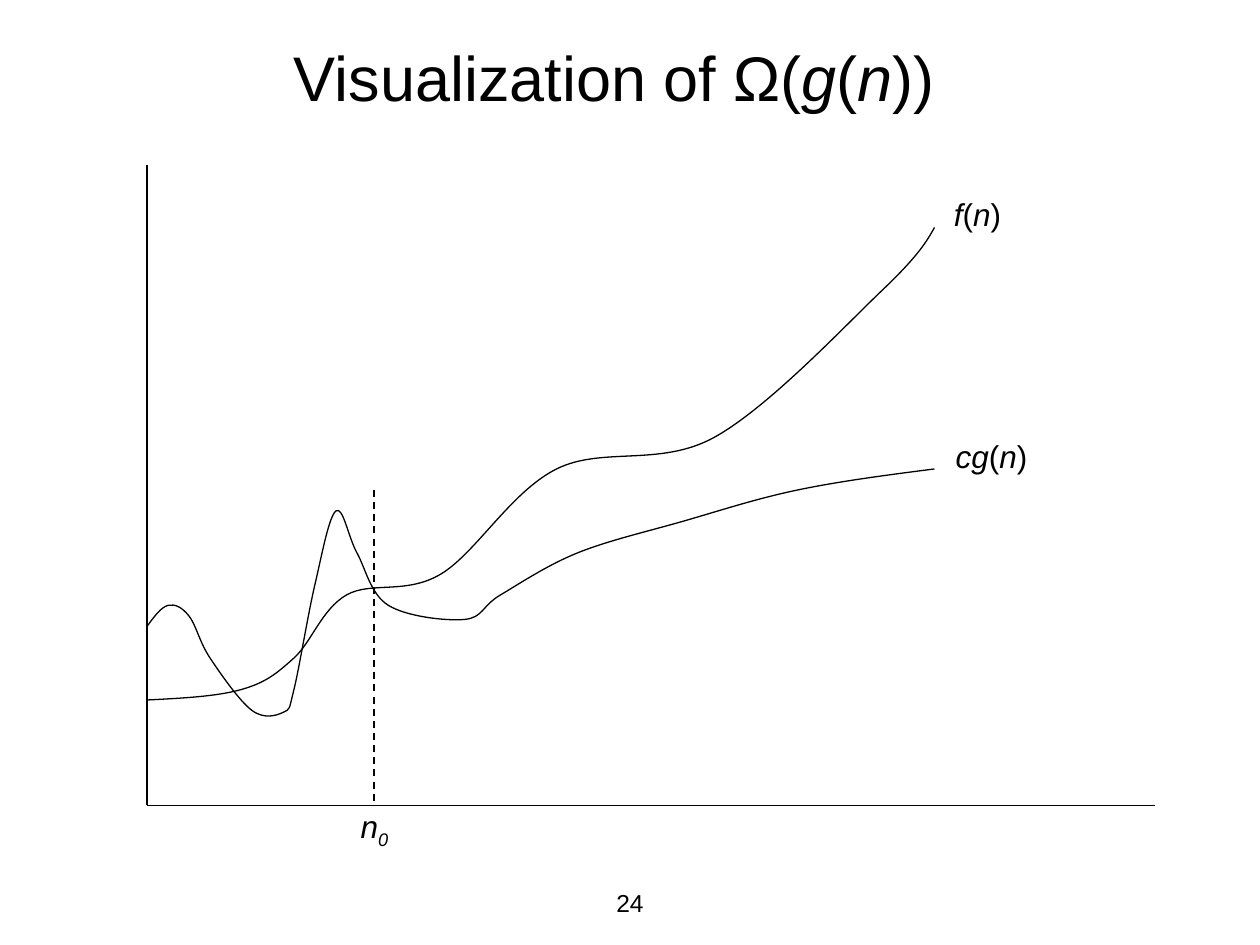
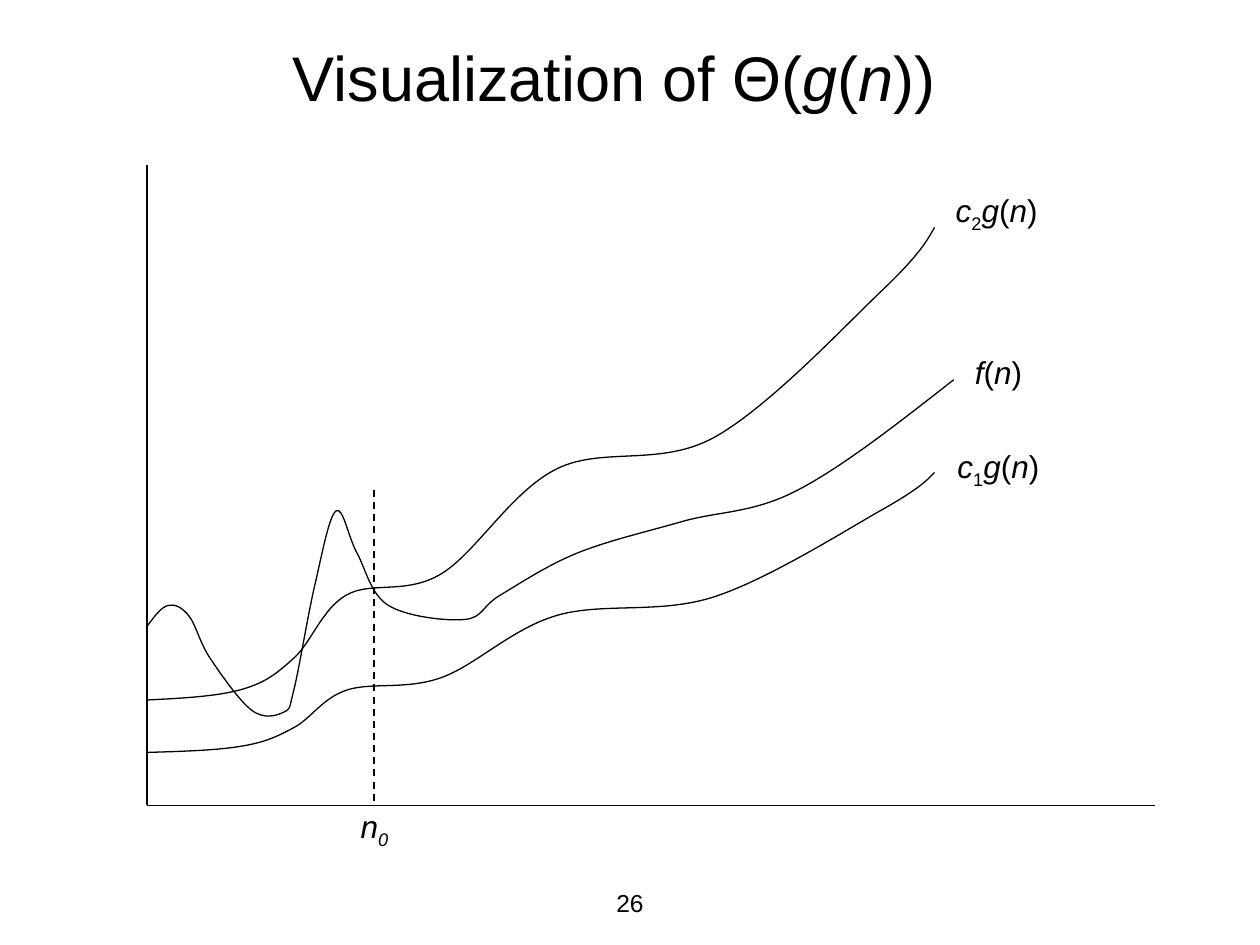
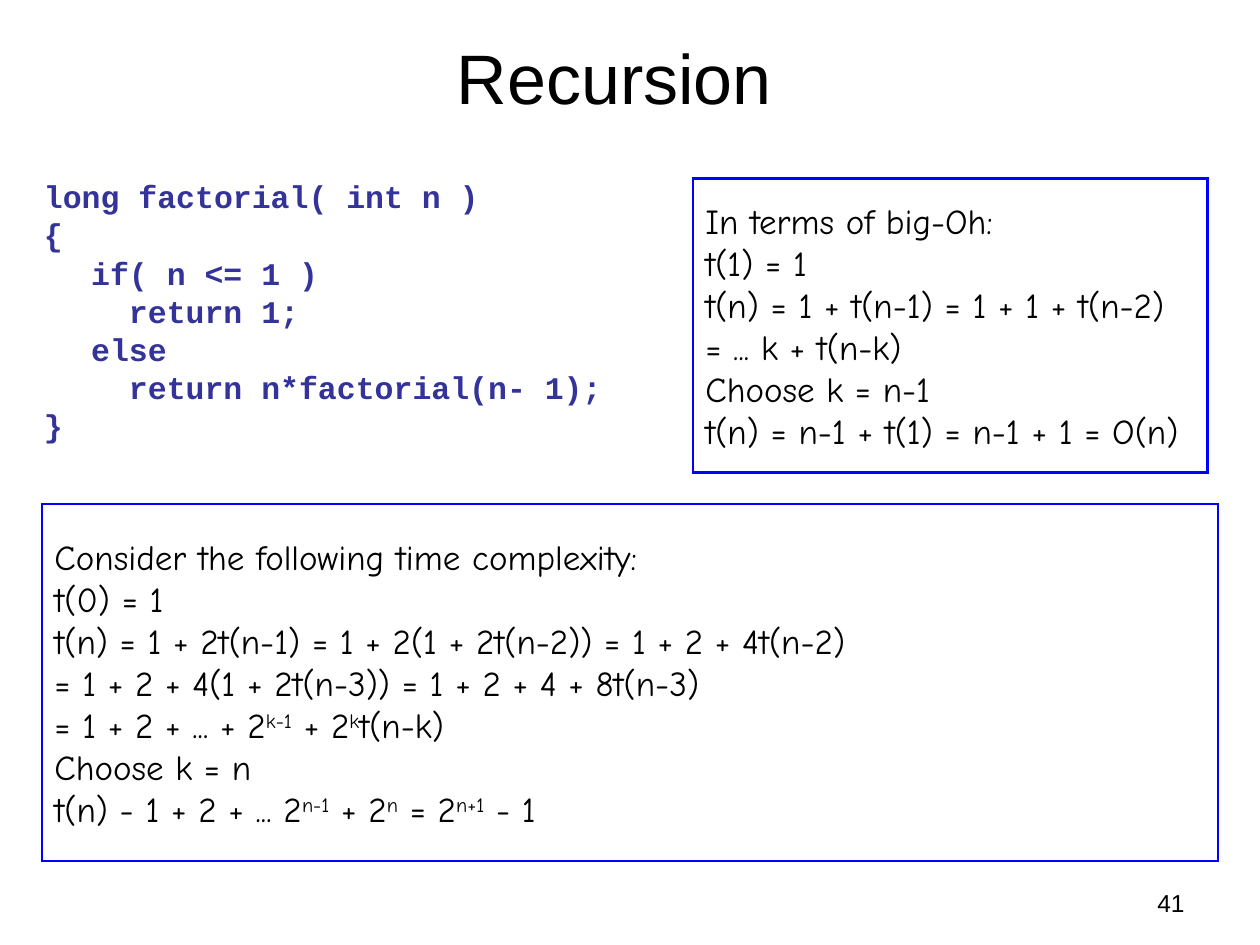
from lxml.etree import Element, SubElement
from pptx import Presentation
from pptx.dml.color import RGBColor
from pptx.enum.dml import MSO_LINE
from pptx.enum.shapes import MSO_CONNECTOR, MSO_SHAPE
from pptx.enum.text import MSO_ANCHOR, MSO_AUTO_SIZE, PP_ALIGN
from pptx.oxml.ns import qn
from pptx.util import Pt

COLORS = {"text": "000000", "code": "333399", "box": "0000FF"}
BASELINES = {"sub": "-25000", "sup": "30000"}

# Plot geometry, in points
LEFT, RIGHT, TOP, BOTTOM = 84.1, 660, 94.3, 460.1
N0_X, N0_TOP = 213.9, 280

SMOOTH = [(84, 400), (138, 394), (168, 376), (198, 340), (252, 328),
          (318, 268), (408, 250), (504, 166), (534, 130)]
WAVY = [(84, 358), (96, 346), (108, 352), (120, 376), (144, 406), (162, 407),
        (168, 394), (180, 334), (192, 292), (204, 316), (222, 346),
        (265.5, 354), (286, 340), (330, 316), (390, 298), (456, 280)]
# The lower bound is the upper one squeezed towards the axis
LOWER = [(x, 430 - (400 - y) * 160 / 270) for x, y in SMOOTH]

# Formulas as runs of (text, style)
OF_N = [("(", ""), ("n", "i"), (")", "")]
F_N = [("f", "i")] + OF_N
G_N = [("g", "i")] + OF_N
CG_N = [("cg", "i")] + OF_N

CODE = [
    "long factorial( int n )",
    "{",
    "\tif( n <= 1 )",
    "\t  return 1;",
    "\telse",
    "\t  return n*factorial(n- 1);",
    "}",
]
LINEAR = [
    "In terms of big-Oh:",
    "t(1) = 1",
    "t(n) = 1 + t(n-1) = 1 + 1 + t(n-2)",
    "= ... k + t(n-k)",
    "Choose k = n-1",
    "t(n) = n-1 + t(1) = n-1 + 1 = O(n)",
]
EXPONENTIAL = [
    "Consider the following time complexity:",
    "t(0) = 1",
    "t(n) = 1 + 2t(n-1) = 1 + 2(1 + 2t(n-2)) = 1 + 2 + 4t(n-2)",
    "= 1 + 2 + 4(1 + 2t(n-3)) = 1 + 2 + 4 + 8t(n-3)",
    [("= 1 + 2 + ... + 2", ""), ("k-1", "sup"), (" + 2", ""), ("k", "sup"),
     ("t(n-k)", "")],
    "Choose k = n",
    [("t(n) - 1 + 2 + ... 2", ""), ("n-1", "sup"), (" + 2", ""), ("n", "sup"),
     (" = 2", ""), ("n+1", "sup"), (" - 1", "")],
]


def rgb(name):
    return RGBColor.from_string(COLORS[name])


class Deck:
    def __init__(self):
        self.prs = Presentation()
        self.prs.slide_width, self.prs.slide_height = Pt(720), Pt(540)
        self.s = None

    def slide(self, title, number, size=36, number_at=(246, 228),
              number_align=PP_ALIGN.CENTER):
        self.s = self.prs.slides.add_slide(self.prs.slide_layouts[6])
        x, w = number_at
        self.text(x, 504, w, 25, [number], 14, align=number_align)
        self.text(27, 8, 648, 71, [title], size, align=PP_ALIGN.CENTER,
                  anchor=MSO_ANCHOR.MIDDLE)

    def fill_text(self, tf, lines, size, font="Arial", color="text",
                  align=PP_ALIGN.LEFT, bold=False):
        for i, line in enumerate(lines):
            p = tf.paragraphs[0] if i == 0 else tf.add_paragraph()
            p.alignment = align
            for text, style in [(line, "")] if isinstance(line, str) else line:
                r = p.add_run()
                r.text = text
                r.font.name, r.font.size = font, Pt(size)
                r.font.bold, r.font.italic = bold, style.startswith("i")
                r.font.color.rgb = rgb(color)
                shift = BASELINES.get(style.removeprefix("i"))
                if shift:
                    r.font._element.set("baseline", shift)

    def text(self, x, y, w, h, lines, size, anchor=MSO_ANCHOR.TOP, **style):
        sp = self.s.shapes.add_textbox(Pt(x), Pt(y), Pt(w), Pt(h))
        tf = sp.text_frame
        tf.word_wrap, tf.vertical_anchor = True, anchor
        self.fill_text(tf, lines, size, **style)
        return tf

    def label(self, x, y, w, runs, h=29):
        tf = self.text(x, y, w, h, [runs], 18)
        tf.word_wrap, tf.auto_size = False, MSO_AUTO_SIZE.SHAPE_TO_FIT_TEXT

    def code(self, x, y, w, h, lines):
        tf = self.text(x, y, w, h, lines, 18, font="Courier New",
                       color="code", bold=True)
        for i, p in enumerate(tf.paragraphs):
            pPr = p._p.get_or_add_pPr()
            pPr.set("marL", str(Pt(27)))
            pPr.set("indent", str(Pt(-27)))
            p.line_spacing = 0.8
            p.space_before = Pt(4.5 if i else 0)

    def box(self, x, y, w, h, lines):
        sp = self.s.shapes.add_shape(MSO_SHAPE.RECTANGLE, Pt(x), Pt(y), Pt(w), Pt(h))
        sp.shadow.inherit = False
        sp.fill.background()
        sp.line.color.rgb, sp.line.width = rgb("box"), Pt(1.5)
        ln = sp._element.spPr.find(qn("a:ln"))
        SubElement(ln, qn("a:miter"), lim="800000")
        tf = sp.text_frame
        tf.word_wrap, tf.vertical_anchor = False, MSO_ANCHOR.MIDDLE
        self.fill_text(tf, lines, 20, font="Comic Neue")

    def line(self, x1, y1, x2, y2, width=0.75, dash=None):
        c = self.s.shapes.add_connector(MSO_CONNECTOR.STRAIGHT,
                                        Pt(x1), Pt(y1), Pt(x2), Pt(y2))
        c.line.color.rgb, c.line.width = rgb("text"), Pt(width)
        c.line.dash_style = dash
        SubElement(c._element.spPr, qn("a:effectLst"))

    def curve(self, knots):
        """Draw a smooth curve through the knots."""
        pts = [(Pt(x), Pt(y)) for x, y in knots]
        fb = self.s.shapes.build_freeform(*pts[0])
        fb.add_line_segments(pts[1:], close=False)
        sp = fb.convert_to_shape()
        sp.shadow.inherit = False
        sp.fill.background()
        sp.line.color.rgb, sp.line.width = rgb("text"), Pt(0.75)

        # Turn each straight segment into a Bezier segment
        x0, y0 = sp.left, sp.top
        pts = [(x - x0, y - y0) for x, y in pts]
        last = len(pts) - 2
        for i, seg in enumerate(list(sp._element.iter(qn("a:lnTo")))):
            a, b = pts[i], pts[i + 1]
            before, after = pts[max(i - 1, 0)], pts[min(i + 2, last + 1)]
            c1 = [q + (n - m) / 6 for m, q, n in zip(before, a, b)]
            c2 = [q - (n - m) / 6 for m, q, n in zip(a, b, after)]
            if i == 0:
                c1 = [(m + n) / 2 for m, n in zip(a, c2)]
            elif i == last:
                c2 = [(m + n) / 2 for m, n in zip(c1, b)]
            seg.tag = qn("a:cubicBezTo")
            for k, (x, y) in enumerate((c1, c2)):
                seg.insert(k, Element(qn("a:pt"), x=str(round(x)), y=str(round(y))))

    def plot(self, symbol, number, wavy_end):
        """Slide with axes, the two shared curves and the threshold n0."""
        title = [(f"Visualization of {symbol}(", "")] + G_N + [(")", "")]
        self.slide(title, number)
        self.line(LEFT, TOP, LEFT, BOTTOM)
        self.line(LEFT, BOTTOM, RIGHT, BOTTOM)
        self.curve(SMOOTH)
        self.curve(WAVY + [wavy_end])
        self.line(N0_X, N0_TOP, N0_X, BOTTOM, 1, MSO_LINE.DASH)
        self.label(199, 457.4, 30, [("n", "i"), ("0", "isub")], 32)


def main():
    deck = Deck()

    # Omega: one lower bound
    deck.plot("Ω", "24", (534, 268))
    deck.label(539, 246, 57, CG_N)
    deck.label(538, 108, 43, F_N)

    # Theta: bounds on both sides
    deck.plot("Θ", "26", (545, 217))
    for x, y, digit in ((539, 105.4, "2"), (540, 252, "1")):
        deck.label(x, y, 62, [("c", "i"), (digit, "sub")] + G_N, 32)
    deck.label(550, 198, 43, F_N)
    deck.curve(LOWER)

    # Recursion: code and its cost
    deck.slide("Recursion", "41", 40, (516, 168), PP_ALIGN.RIGHT)
    deck.code(18, 102, 666, 186, CODE)
    deck.box(396, 102, 294, 168, LINEAR)
    deck.box(24, 288, 672, 204, EXPONENTIAL)

    deck.prs.save("out.pptx")


if __name__ == "__main__":
    main()
